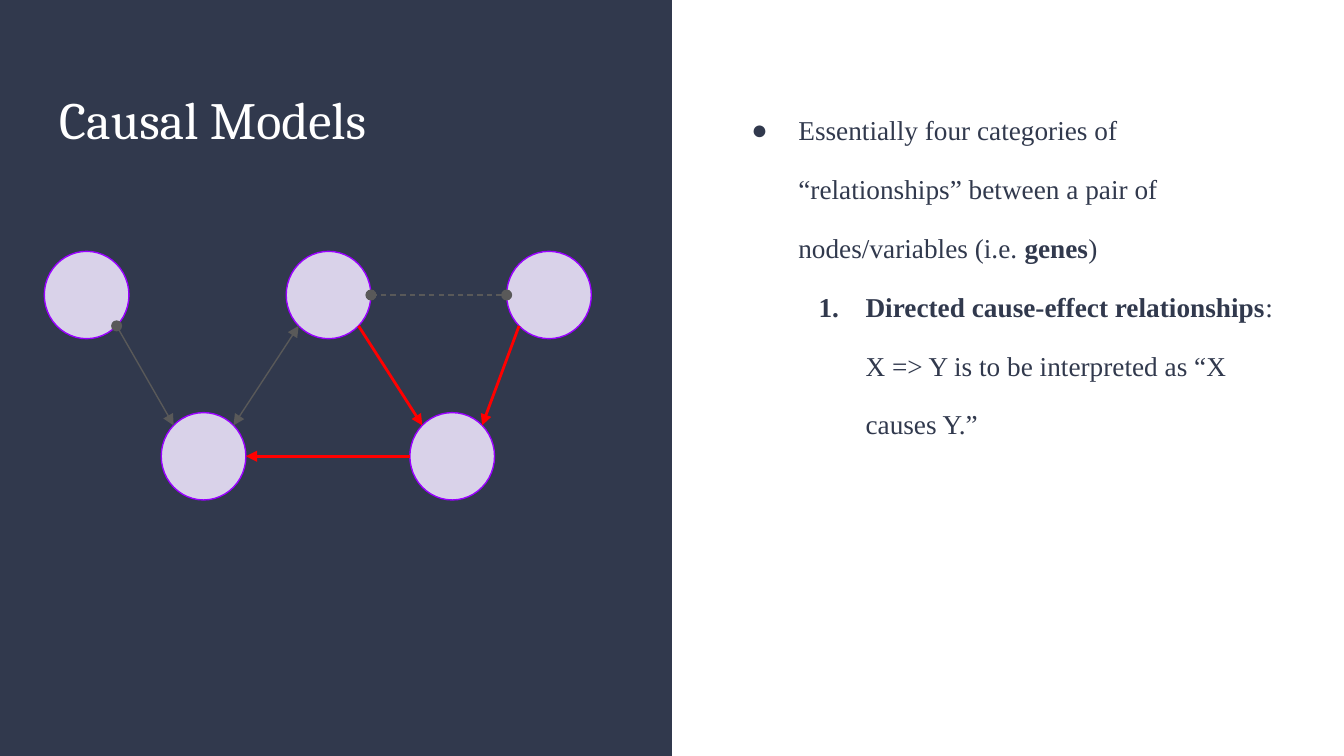
import math

import lxml.etree
import pptx
import pptx.dml.color
import pptx.enum.dml
import pptx.enum.shapes
import pptx.enum.text
import pptx.oxml.ns
import pptx.util

Inches = pptx.util.Inches
Pt = pptx.util.Pt
RGBColor = pptx.dml.color.RGBColor
qn = pptx.oxml.ns.qn

NAVY = RGBColor(0x31, 0x39, 0x4D)
WHITE = RGBColor(0xFF, 0xFF, 0xFF)
LAVENDER = RGBColor(0xD9, 0xD2, 0xE9)
PURPLE = RGBColor(0x99, 0x00, 0xFF)
GREY = RGBColor(0x59, 0x59, 0x59)
RED = RGBColor(0xFF, 0x00, 0x00)

SLIDE_WIDTH = Inches(10)
SLIDE_HEIGHT = SLIDE_WIDTH * 9 // 16
NODE_WIDTH, NODE_HEIGHT = 0.63, 0.65
UPPER, LOWER = 1.87, 3.07
NODES = {
    "upper left": (0.33, UPPER),
    "lower left": (1.2, LOWER),
    "upper middle": (2.13, UPPER),
    "lower right": (3.05, LOWER),
    "upper right": (3.77, UPPER),
}
ANGLES = {"right": 0, "bottom right": 45, "bottom left": 135,
          "left": 180, "top left": 225, "top right": 315}
DASH = pptx.enum.dml.MSO_LINE.DASH
EDGES = [
    (("upper left", "bottom right"), ("lower left", "top left"), GREY, 0.75, None, "oval", "triangle"),
    (("lower left", "top right"), ("upper middle", "bottom left"), GREY, 0.75, None, "triangle", "triangle"),
    (("upper middle", "bottom right"), ("lower right", "top left"), RED, 1.5, None, "none", "triangle"),
    (("lower right", "left"), ("lower left", "right"), RED, 1.5, None, "none", "triangle"),
    (("upper right", "left"), ("upper middle", "right"), GREY, 0.75, DASH, "oval", "oval"),
    (("upper right", "bottom left"), ("lower right", "top right"), RED, 1.5, None, "none", "triangle"),
]


def apply_format(target, values):
    """Set each attribute named in values on target."""
    for name, value in values.items():
        setattr(target, name, value)


def add_panel(page, width, height):
    """Put the dark half-page panel behind everything else."""
    panel = page.shapes.add_shape(pptx.enum.shapes.MSO_SHAPE.RECTANGLE, 0, 0, width, height)
    panel.shadow.inherit = False
    panel.fill.solid()
    panel.fill.fore_color.rgb = NAVY
    panel.line.fill.background()
    page.shapes._spTree.insert(2, panel._element)


def place_box(box, left, top, width, height):
    """Move a placeholder and give it plain top-anchored text settings."""
    apply_format(box, {"left": Inches(left), "top": Inches(top),
                       "width": Inches(width), "height": Inches(height)})
    margins = dict.fromkeys(
        ("margin_left", "margin_top", "margin_right", "margin_bottom"), Inches(0.1))
    apply_format(box.text_frame, {
        **margins, "word_wrap": True,
        "auto_size": pptx.enum.text.MSO_AUTO_SIZE.NONE,
        "vertical_anchor": pptx.enum.text.MSO_ANCHOR.TOP})


def add_span(para, text, font, size, color, bold=False):
    """Append one formatted run to a paragraph."""
    span = para.add_run()
    span.text = text
    apply_format(span.font, {"name": font, "size": Pt(size), "bold": bold})
    span.font.color.rgb = color


def fill_item(para, level, spans, bullet_tag, bullet_values):
    """Write a list item with its marker and hanging indent."""
    apply_format(para, {"level": level, "line_spacing": 1.8,
                        "space_before": Pt(0), "space_after": Pt(0),
                        "alignment": pptx.enum.text.PP_ALIGN.LEFT})
    properties = para._p.get_or_add_pPr()
    properties.set("marL", str(Inches(0.5 * (level + 1))))
    properties.set("indent", str(Inches(-0.35)))
    bullet_color = lxml.etree.SubElement(properties, qn("a:buClr"))
    lxml.etree.SubElement(bullet_color, qn("a:srgbClr"), val=str(NAVY))
    lxml.etree.SubElement(properties, qn("a:buFont"), typeface="Times New Roman")
    lxml.etree.SubElement(properties, qn(bullet_tag), **bullet_values)
    for text, bold in spans:
        add_span(para, text, "Times New Roman", 14.6, NAVY, bold)


def add_node(graph, left, top):
    """Draw one round graph node."""
    node = graph.shapes.add_shape(
        pptx.enum.shapes.MSO_SHAPE.OVAL, Inches(left), Inches(top),
        Inches(NODE_WIDTH), Inches(NODE_HEIGHT))
    node.shadow.inherit = False
    node.fill.solid()
    node.fill.fore_color.rgb = LAVENDER
    node.line.color.rgb = PURPLE
    node.line.width = Pt(0.75)


def rim_point(name, side):
    """Return the point on a node's rim at the named side."""
    left, top = NODES[name]
    angle = math.radians(ANGLES[side])
    return (Inches(left + NODE_WIDTH / 2 * (1 + math.cos(angle))),
            Inches(top + NODE_HEIGHT / 2 * (1 + math.sin(angle))))


def add_edge(graph, start, end, color, width, dash, head, tail):
    """Draw a line between two node rims with the given end marks."""
    edge = graph.shapes.add_connector(
        pptx.enum.shapes.MSO_CONNECTOR.STRAIGHT, *rim_point(*start), *rim_point(*end))
    edge.line.color.rgb = color
    apply_format(edge.line, {"width": Pt(width), "dash_style": dash})
    outline = edge.line._get_or_add_ln()
    for tag, mark in (("a:headEnd", head), ("a:tailEnd", tail)):
        lxml.etree.SubElement(outline, qn(tag), type=mark, w="med", len="med")
    lxml.etree.SubElement(edge._element.spPr, qn("a:effectLst"))


def main():
    """Build the causal models slide."""
    deck = pptx.Presentation()
    apply_format(deck, {"slide_width": SLIDE_WIDTH, "slide_height": SLIDE_HEIGHT})
    page = deck.slides.add_slide(deck.slide_layouts[1])
    add_panel(page, SLIDE_WIDTH // 2, SLIDE_HEIGHT)

    title = page.shapes.title
    place_box(title, 0.34, 0.55, 4.05, 2.24)
    heading = title.text_frame.paragraphs[0]
    heading.alignment = pptx.enum.text.PP_ALIGN.LEFT
    add_span(heading, "Causal Models", "Cambria", 28, WHITE)

    body = page.placeholders[1]
    place_box(body, 5.34, 0.55, 4.32, 4.5)
    fill_item(body.text_frame.paragraphs[0], 0, [
        ("Essentially four categories of “relationships” between a pair of "
         "nodes/variables (i.e. ", False),
        ("genes", True), (")", False)], "a:buChar", {"char": "●"})
    fill_item(body.text_frame.add_paragraph(), 1, [
        ("Directed cause-effect relationships", True),
        (": X => Y is to be interpreted as “X causes Y.”", False)],
        "a:buAutoNum", {"type": "arabicPeriod"})

    graph = page.shapes.add_group_shape()
    for left, top in NODES.values():
        add_node(graph, left, top)
    for edge in EDGES:
        add_edge(graph, *edge)
    deck.save("out.pptx")


if __name__ == "__main__":
    main()
